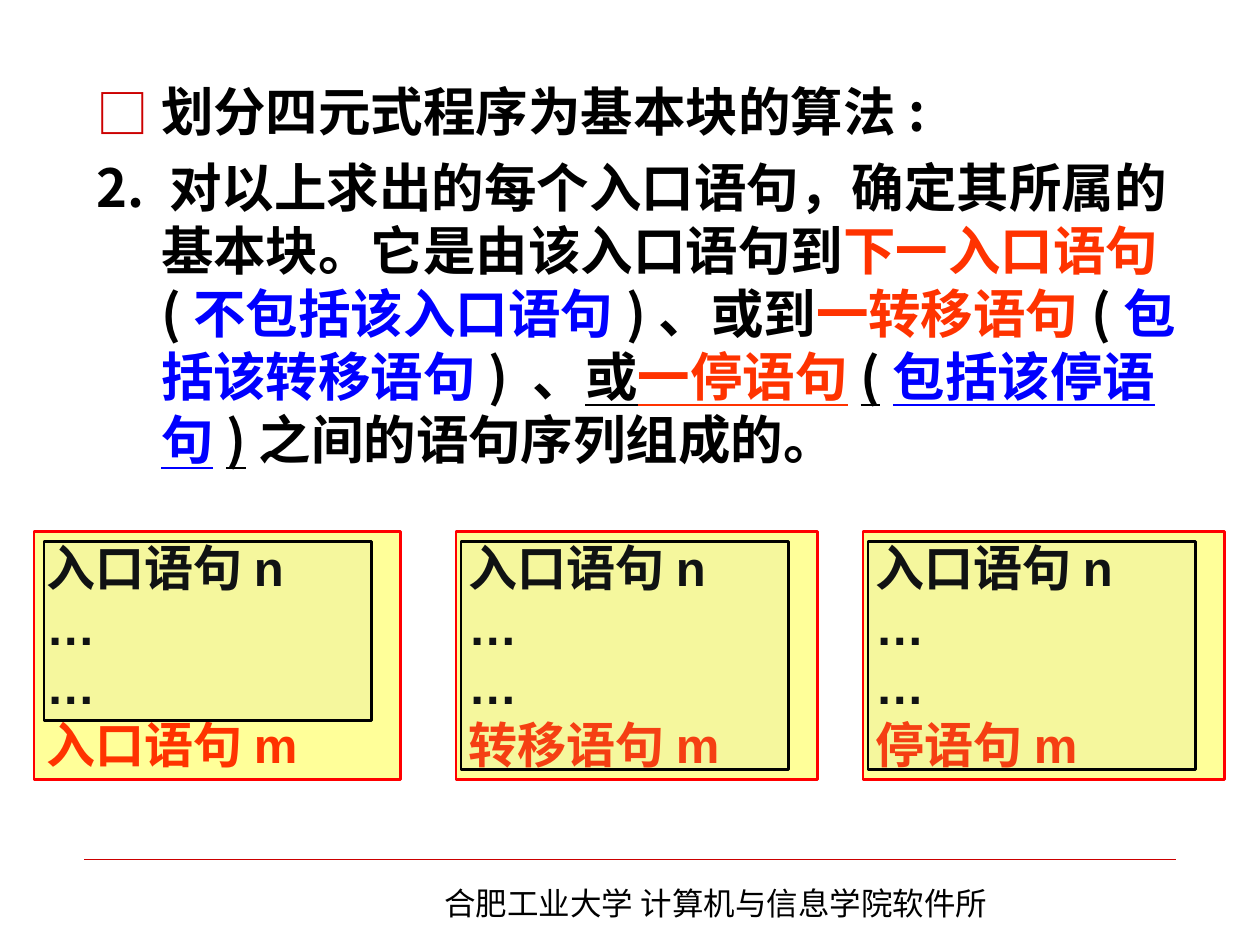
import pptx
import pptx.util
import pptx.dml.color
import pptx.enum.shapes
import pptx.enum.text
import pptx.oxml.ns
import lxml.etree

Pt = pptx.util.Pt
RGBColor = pptx.dml.color.RGBColor
qn = pptx.oxml.ns.qn

BLACK = RGBColor(0x00, 0x00, 0x00)
BLUE = RGBColor(0x00, 0x00, 0xFF)
ORANGE = RGBColor(0xFF, 0x33, 0x00)
RED = RGBColor(0xFF, 0x00, 0x00)
DARK_RED = RGBColor(0xCC, 0x00, 0x00)
YELLOW = RGBColor(0xFF, 0xFF, 0x99)
VEIL = RGBColor(0xA3, 0xB2, 0xC1)

CJK_FONT = "Noto Sans CJK SC"
LATIN_FONT = "Arial"

ALGORITHM_RUNS = [
    ("2. 对以上求出的每个入口语句，确定其所属的基本块。它是由该入口语句到", BLACK, False),
    ("下一入口语句", ORANGE, False),
    ("(", BLACK, False),
    ("不包括该入口语句", BLUE, False),
    (")、或到", BLACK, False),
    ("一转移语句", ORANGE, False),
    ("(", BLACK, False),
    ("包括该转移语句", BLUE, False),
    (") 、", BLACK, False),
    ("或", BLACK, True),
    ("一停语句", ORANGE, True),
    ("(", BLACK, True),
    ("包括该停语句", BLUE, True),
    (")", BLACK, True),
    ("之间的语句序列组成的。", BLACK, False),
]

BLOCKS = [
    (19.4, 209.5, 5.8, 102.2, "入口语句m"),
    (260.6, 206.6, 2.9, 130.3, "转移语句m"),
    (493.2, 206.6, 2.9, 130.3, "停语句m"),
]


def add_run(paragraph, text, size, color, font_name=CJK_FONT, bold=True, underline=False):
    run = paragraph.add_run()
    run.text = text
    run.font.size = Pt(size)
    run.font.bold = bold
    run.font.underline = underline
    run.font.name = font_name
    run.font.color.rgb = color
    east_asian = lxml.etree.Element(qn("a:ea"), typeface=CJK_FONT)
    run.font._element.find(qn("a:latin")).addnext(east_asian)


def set_hanging_indent(paragraph, indent, bullet=None):
    properties = paragraph._p.get_or_add_pPr()
    properties.set("marL", str(Pt(indent)))
    properties.set("indent", str(-Pt(indent)))
    if bullet is None:
        lxml.etree.SubElement(properties, qn("a:buNone"))
        return
    color = lxml.etree.SubElement(properties, qn("a:buClr"))
    lxml.etree.SubElement(color, qn("a:srgbClr"), val=str(DARK_RED))
    lxml.etree.SubElement(properties, qn("a:buFont"), typeface=CJK_FONT)
    lxml.etree.SubElement(properties, qn("a:buChar"), char=bullet)


def add_text_frame(slide, left, top, width, height):
    box = slide.shapes.add_textbox(Pt(left), Pt(top), Pt(width), Pt(height))
    box.text_frame.word_wrap = True
    return box.text_frame


def add_rectangle(slide, left, top, width, height, fill, line):
    shape = slide.shapes.add_shape(
        pptx.enum.shapes.MSO_SHAPE.RECTANGLE, Pt(left), Pt(top), Pt(width), Pt(height)
    )
    shape.shadow.inherit = False
    shape.fill.solid()
    shape.fill.fore_color.rgb = fill
    shape.line.color.rgb = line
    shape.line.width = Pt(1.5)
    return shape


def add_algorithm(slide, left, top, width, height):
    frame = add_text_frame(slide, left, top, width, height)
    heading = frame.paragraphs[0]
    set_hanging_indent(heading, 36.75, "□")
    add_run(heading, "划分四元式程序为基本块的算法:", 30, BLACK)
    step = frame.add_paragraph()
    set_hanging_indent(step, 36.75)
    step.space_before = Pt(7.5)
    for text, color, underline in ALGORITHM_RUNS:
        add_run(step, text, 30, color, underline=underline)


def add_block(slide, left, top, width, height, inset, extent_height, last_statement):
    block = add_rectangle(slide, left, top, width, height, YELLOW, RED)
    frame = block.text_frame
    frame.word_wrap = True
    frame.vertical_anchor = pptx.enum.text.MSO_ANCHOR.TOP
    statements = ["入口语句n", "…", "…", last_statement]
    for index, statement in enumerate(statements):
        paragraph = frame.add_paragraph() if index else frame.paragraphs[0]
        paragraph.alignment = pptx.enum.text.PP_ALIGN.LEFT
        color = ORANGE if statement == last_statement else BLACK
        add_run(paragraph, statement, 28, color, LATIN_FONT)
    extent = add_rectangle(
        slide, left + inset, top + 5.8, 187.2, extent_height, VEIL, BLACK
    )
    fill_color = extent._element.spPr.find(qn("a:solidFill")).find(qn("a:srgbClr"))
    lxml.etree.SubElement(fill_color, qn("a:alpha"), val="10000")


def add_footer(slide, left, top, width):
    rule = slide.shapes.add_connector(
        pptx.enum.shapes.MSO_CONNECTOR.STRAIGHT,
        Pt(left), Pt(top), Pt(left + width), Pt(top),
    )
    rule.line.color.rgb = DARK_RED
    rule.line.width = Pt(0.25)
    lxml.etree.SubElement(rule._element.spPr, qn("a:effectLst"))
    frame = add_text_frame(slide, left + 198.7, top + 10.8, 339.8, 28.8)
    add_run(frame.paragraphs[0], "合肥工业大学 计算机与信息学院软件所", 18, BLACK, bold=False)


def main():
    presentation = pptx.Presentation()
    presentation.slide_width = Pt(720)
    presentation.slide_height = Pt(540)
    slide = presentation.slides.add_slide(presentation.slide_layouts[6])
    add_footer(slide, 48.2, 491, 623.6)
    add_algorithm(slide, 48.2, 41.8, 642.2, 250.6)
    for left, width, inset, extent_height, last_statement in BLOCKS:
        add_block(slide, left, 303.8, width, 141.8, inset, extent_height, last_statement)
    presentation.save("out.pptx")


if __name__ == "__main__":
    main()
